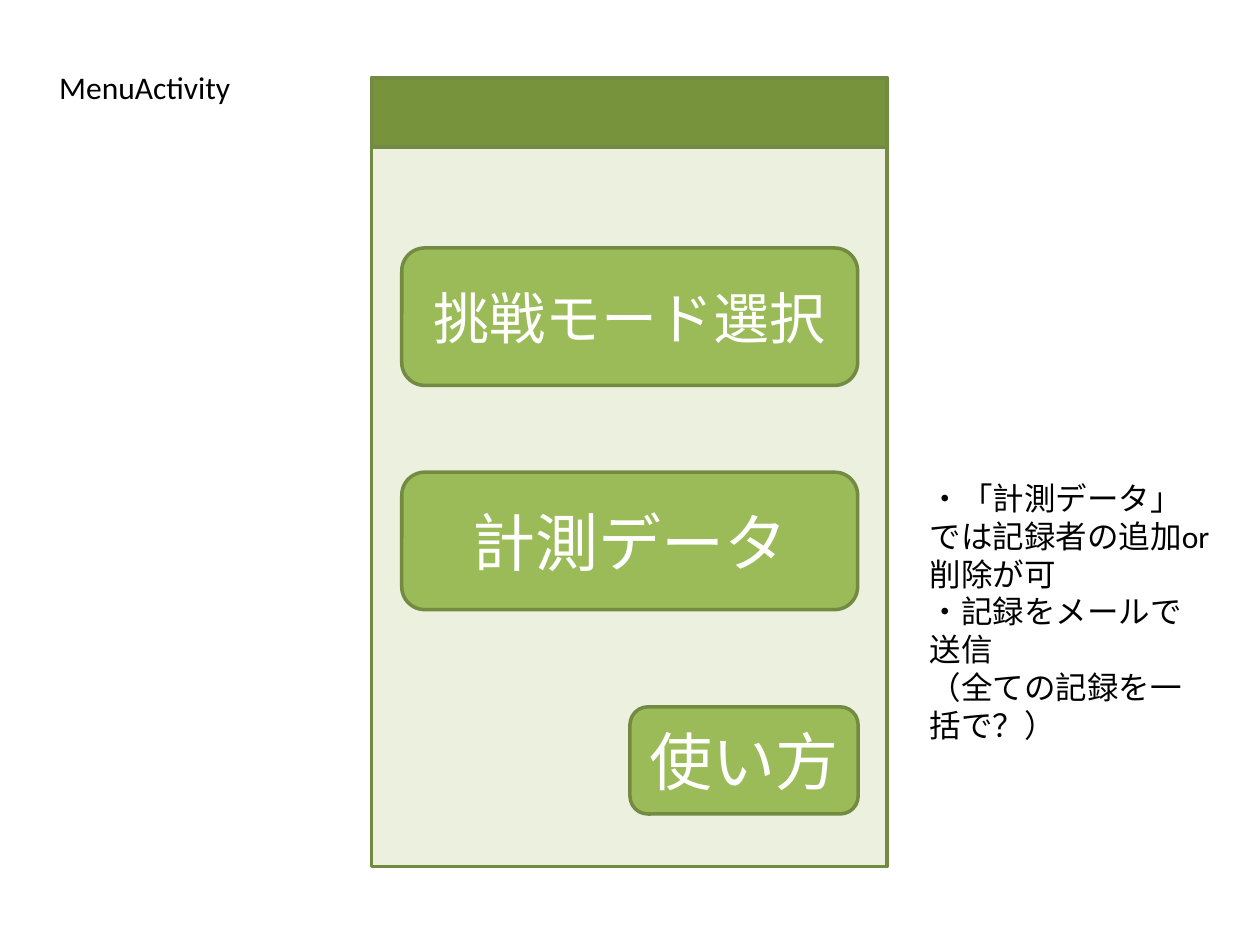
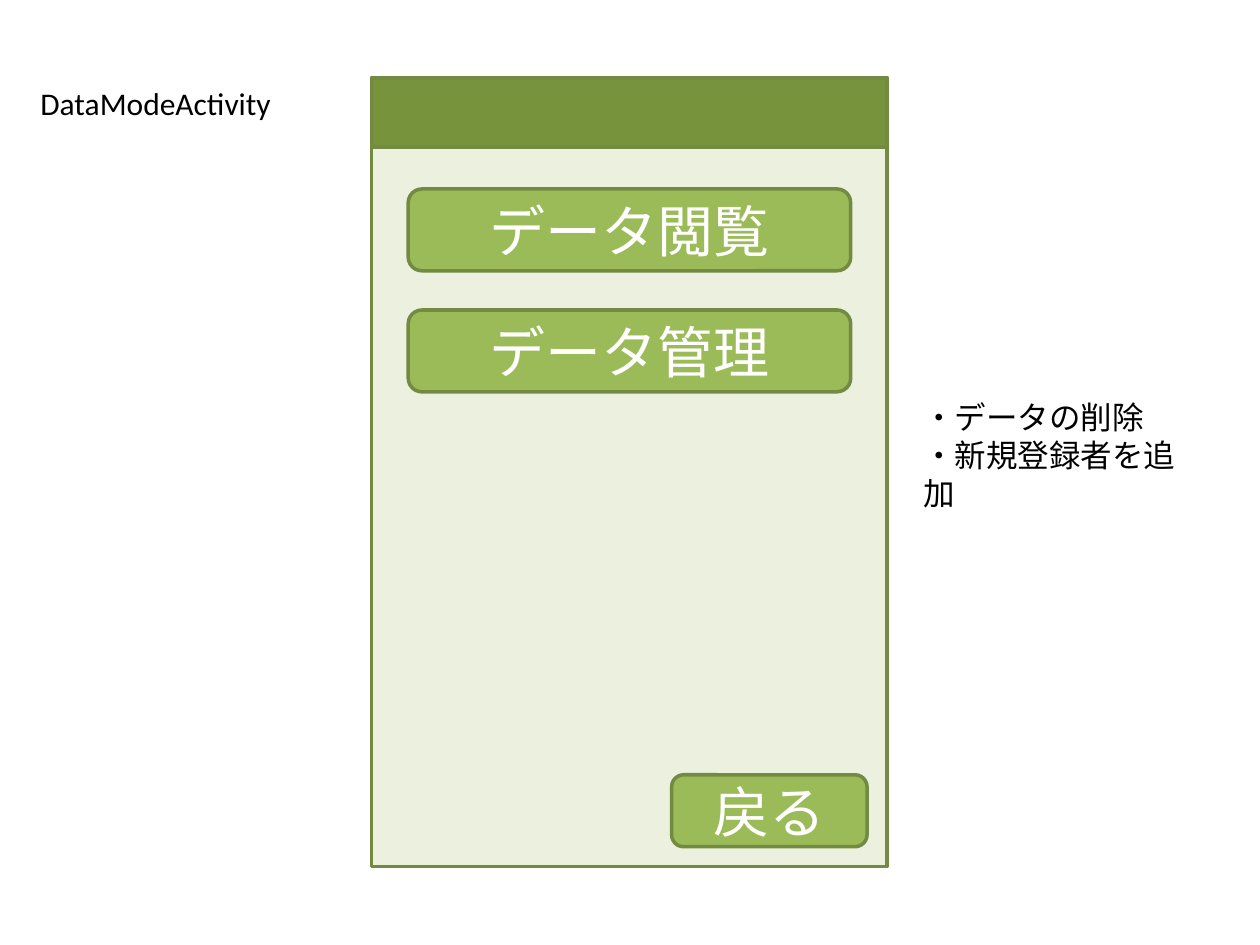
from dataclasses import dataclass

from pptx import Presentation
from pptx import util as u
from pptx.dml.color import RGBColor
from pptx.enum import shapes, text
from pptx.oxml.ns import qn

PALE = RGBColor(0xEB, 0xF1, 0xDE)
DARK = RGBColor(0x77, 0x93, 0x3C)
GREEN = RGBColor(0x9B, 0xBB, 0x59)
EDGE = RGBColor(0x73, 0x8A, 0x42)
WHITE = RGBColor(0xFF, 0xFF, 0xFF)
BLACK = RGBColor(0, 0, 0)

RECT = shapes.MSO_SHAPE.RECTANGLE
ROUND = shapes.MSO_SHAPE.ROUNDED_RECTANGLE


@dataclass(frozen=True)
class Box:
    left: float
    top: float
    width: float
    height: float

    def lengths(self) -> tuple:
        return u.Cm(self.left), u.Cm(self.top), u.Cm(self.width), u.Cm(self.height)


@dataclass(frozen=True)
class Button:
    label: str
    box: Box
    size: int = 32


@dataclass(frozen=True)
class Screen:
    title: str
    head: Box
    buttons: list[Button]
    notes: list[str]
    side: Box


PHONE = Box(7.49, 1.57, 10.39, 15.9)
BAR = Box(PHONE.left, PHONE.top, PHONE.width, 1.4)


def stack(labels: list[tuple[str, int]], first: Box, pitch: float) -> list[Button]:
    return [
        Button(label, Box(first.left, first.top + row * pitch, first.width, first.height), size)
        for row, (label, size) in enumerate(labels)
    ]


SCREENS = [
    Screen(
        "MenuActivity",
        Box(0.94, 1.24, 4.72, 1.02),
        stack([("挑戦モード選択", 32), ("計測データ", 36)], Box(8.1, 5, 9.19, 2.77), 4.52)
        + [Button("使い方", Box(12.7, 14.25, 4.6, 2.16), 36)],
        [
            "・「計測データ」では記録者の追加or削除が可",
            "・記録をメールで送信",
            "（全ての記録を一括で？）",
        ],
        Box(18.49, 9.53, 6.2, 4.88),
    ),
    Screen(
        "DataModeActivity",
        Box(0.56, 1.57, 5.99, 1.02),
        stack([("データ閲覧", 32), ("データ管理", 32)], Box(8.23, 3.81, 8.92, 1.65), 2.44)
        + [Button("戻る", Box(13.54, 15.62, 3.94, 1.45))],
        ["・データの削除", "・新規登録者を追加"],
        Box(18.36, 7.9, 6.22, 1.8),
    ),
]


def style(para, size: int, face: str, ink: RGBColor, align) -> None:
    para.alignment = align
    for run in para.runs:
        run.font.size = u.Pt(size)
        run.font.name = face
        run.font.color.rgb = ink


def panel(slide, kind, box: Box, fill: RGBColor):
    shape = slide.shapes.add_shape(kind, *box.lengths())
    shape.shadow.inherit = False
    shape.fill.solid()
    shape.fill.fore_color.rgb = fill
    shape.line.color.rgb = EDGE
    shape.line.width = u.Pt(2)
    return shape


def press(slide, button: Button) -> None:
    frame = panel(slide, ROUND, button.box, GREEN).text_frame
    frame.text = button.label
    frame.vertical_anchor = text.MSO_ANCHOR.MIDDLE
    style(frame.paragraphs[0], button.size, "Arial", WHITE, text.PP_ALIGN.CENTER)


def write(holder, box: Box, lines: list[str]) -> None:
    holder.left, holder.top, holder.width, holder.height = box.lengths()
    frame = holder.text_frame
    frame.text = "\n".join(lines)
    frame.word_wrap = True
    frame.auto_size = text.MSO_AUTO_SIZE.NONE
    frame.vertical_anchor = text.MSO_ANCHOR.TOP
    for para in frame.paragraphs:
        para.space_before = u.Pt(0)
        style(para, 18, "Calibri", BLACK, text.PP_ALIGN.LEFT)
        props = para._p.get_or_add_pPr()
        props.set("marL", "0")
        props.set("indent", "0")
        props.append(props.makeelement(qn("a:buNone"), {}))


def draw(deck, screen: Screen) -> None:
    slide = deck.slides.add_slide(deck.slide_layouts[1])
    write(slide.shapes.title, screen.head, [screen.title])
    write(slide.placeholders[1], screen.side, screen.notes)
    panel(slide, RECT, PHONE, PALE)
    panel(slide, RECT, BAR, DARK)
    for button in screen.buttons:
        press(slide, button)


def main() -> None:
    deck = Presentation()
    deck.slide_width, deck.slide_height = u.Cm(25.4), u.Cm(19.05)
    for screen in SCREENS:
        draw(deck, screen)
    deck.save("out.pptx")


if __name__ == "__main__":
    main()
